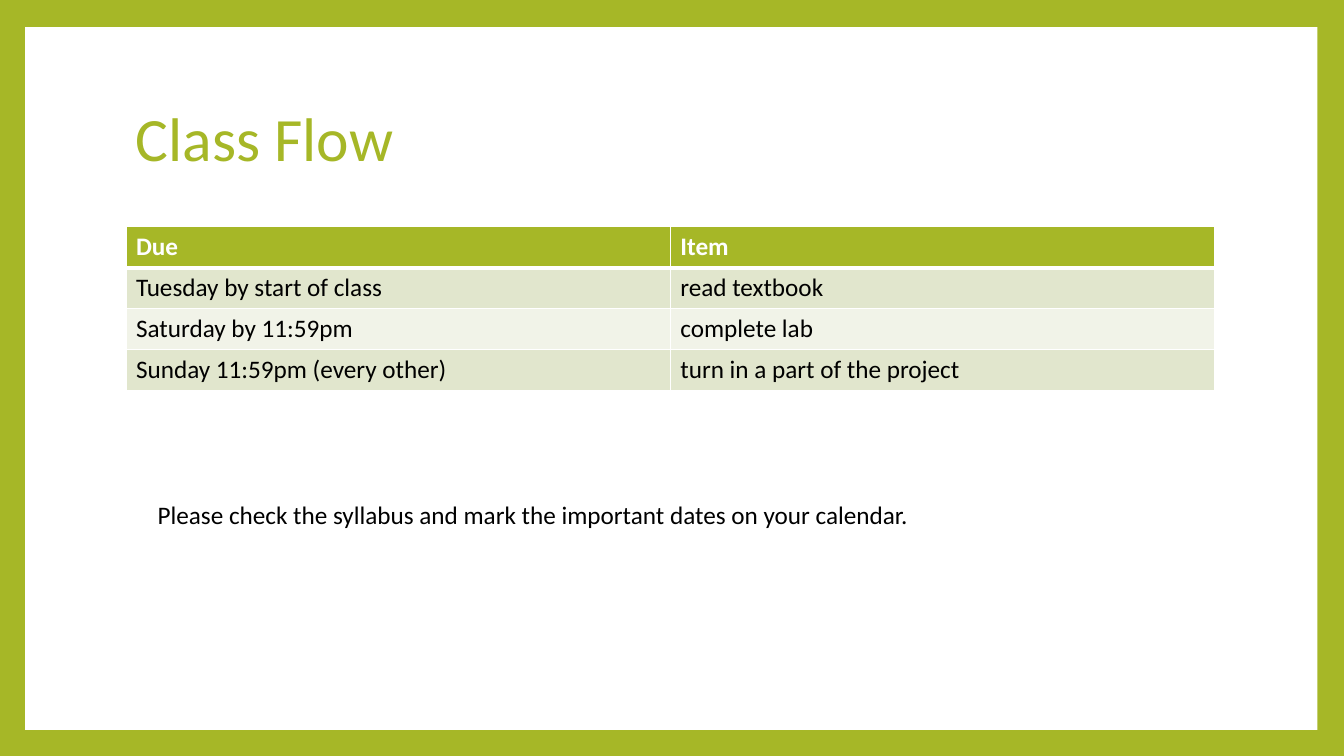
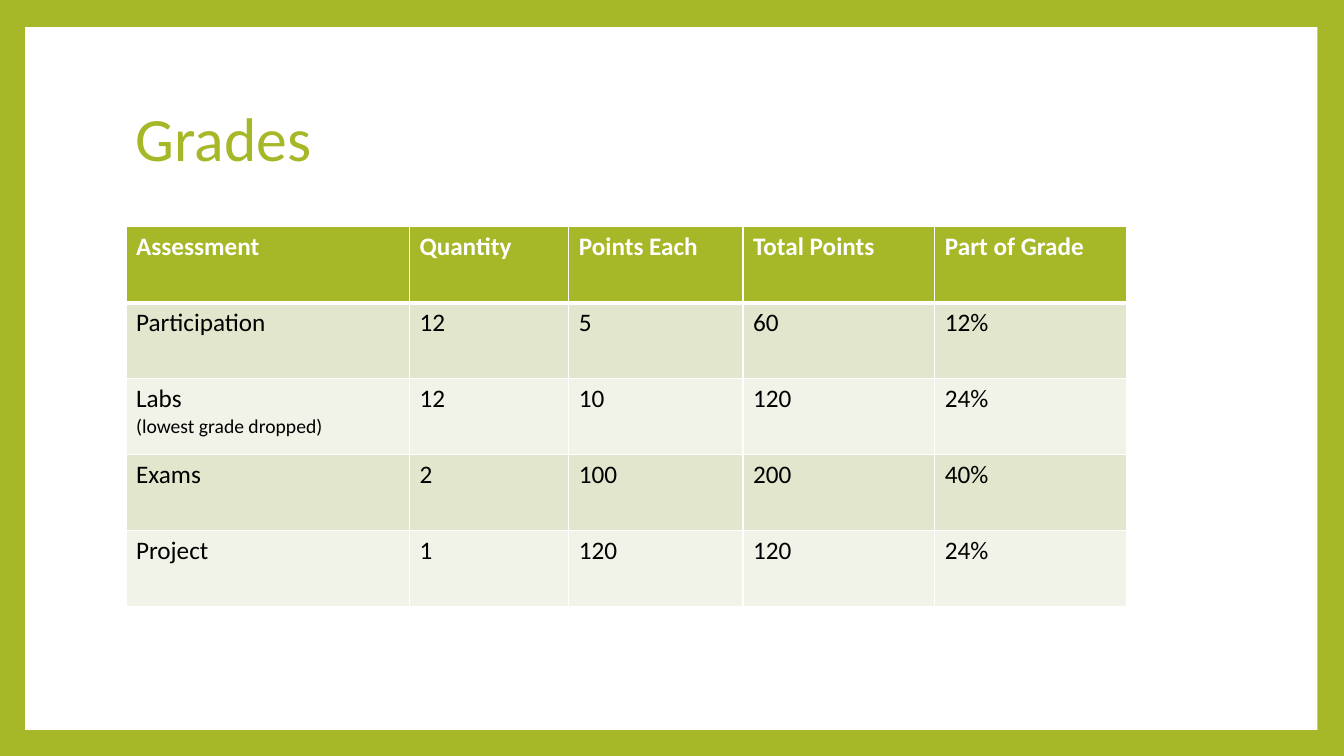
from pptx import Presentation
from pptx.dml.color import RGBColor
from pptx.enum.shapes import MSO_SHAPE
from pptx.enum.text import MSO_ANCHOR
from pptx.oxml import parse_xml
from pptx.oxml.ns import nsdecls
from pptx.util import Pt

FONT = "Calibri"
GREEN = "A6B727"
WHITE = "FFFFFF"
BLACK = "000000"
BAND_DARK = "E1E6CD"
BAND_LIGHT = "F1F3E8"
BODY_SIZE = 18
NOTE_SIZE = 14
LEFT = 90
TABLE_TOP = 162


def color(value):
    return RGBColor.from_string(value)


def add_run(paragraph, text, size=BODY_SIZE, ink=BLACK, bold=False):
    run = paragraph.add_run()
    run.text = text
    run.font.name = FONT
    run.font.size = Pt(size)
    run.font.bold = bold
    run.font.color.rgb = color(ink)


def add_text(slide, box, text, size=BODY_SIZE, ink=BLACK, anchor=MSO_ANCHOR.TOP, spacing=None):
    frame = slide.shapes.add_textbox(*map(Pt, box)).text_frame
    frame.word_wrap = True
    frame.vertical_anchor = anchor
    paragraph = frame.paragraphs[0]
    paragraph.line_spacing = spacing
    add_run(paragraph, text, size, ink)


def add_titled_slide(presentation, title):
    slide = presentation.slides.add_slide(presentation.slide_layouts[6])
    panel = slide.shapes.add_shape(MSO_SHAPE.RECTANGLE, Pt(18), Pt(19.3), Pt(923), Pt(502))
    panel.shadow.inherit = False
    panel.fill.solid()
    panel.fill.fore_color.rgb = color(WHITE)
    panel.line.fill.background()
    add_text(slide, (LEFT, 48, 777.6, 106.5), title, 44, GREEN, MSO_ANCHOR.MIDDLE, 0.9)
    return slide


def set_borders(cell, top, bottom):
    properties = cell._tc.get_or_add_tcPr()
    for side, width in (("L", 1), ("R", 1), ("T", top), ("B", bottom)):
        properties.append(parse_xml(
            f'<a:ln{side} {nsdecls("a")} w="{Pt(width)}"><a:solidFill>'
            f'<a:srgbClr val="{WHITE}"/></a:solidFill></a:ln{side}>'))


def fill_cell(cell, text, row_index):
    header = row_index == 0
    set_borders(cell, 3 if row_index == 1 else 1, 3 if header else 1)
    cell.fill.solid()
    band = BAND_DARK if row_index % 2 else BAND_LIGHT
    cell.fill.fore_color.rgb = color(GREEN if header else band)
    frame = cell.text_frame
    for index, line in enumerate(text.split("\n")):
        paragraph = frame.add_paragraph() if index else frame.paragraphs[0]
        add_run(paragraph, line, NOTE_SIZE if index else BODY_SIZE,
                WHITE if header else BLACK, header)


def add_banded_table(slide, rows, widths, row_height):
    table = slide.shapes.add_table(
        len(rows), len(widths), Pt(LEFT), Pt(TABLE_TOP),
        Pt(sum(widths)), Pt(row_height * len(rows))).table
    for column, width in zip(table.columns, widths):
        column.width = Pt(width)
    for row_index, texts in enumerate(rows):
        table.rows[row_index].height = Pt(row_height)
        for column_index, text in enumerate(texts):
            fill_cell(table.cell(row_index, column_index), text, row_index)


def add_class_flow(presentation):
    slide = add_titled_slide(presentation, "Class Flow")
    add_banded_table(slide, [
        ("Due", "Item"),
        ("Tuesday by start of class", "read textbook"),
        ("Saturday by 11:59pm", "complete lab"),
        ("Sunday 11:59pm (every other)", "turn in a part of the project"),
    ], [388.8] * 2, 29.2)
    add_text(slide, (105.5, 353, 749, 51),
             "Please check the syllabus and mark the important dates on your calendar.")


def add_grades(presentation):
    slide = add_titled_slide(presentation, "Grades")
    add_banded_table(slide, [
        ("Assessment", "Quantity", "Points Each", "Total Points", "Part of Grade"),
        ("Participation", "12", "5", "60", "12%"),
        ("Labs\n(lowest grade dropped)", "12", "10", "120", "24%"),
        ("Exams", "2", "100", "200", "40%"),
        ("Project", "1", "120", "120", "24%"),
    ], [202.5, 113.8, 124.5, 137, 137], 54.2)


def main():
    presentation = Presentation()
    presentation.slide_width = Pt(960)
    presentation.slide_height = Pt(540)
    background = presentation.slide_master.background.fill
    background.solid()
    background.fore_color.rgb = color(GREEN)
    add_class_flow(presentation)
    add_grades(presentation)
    presentation.save("out.pptx")


if __name__ == "__main__":
    main()
